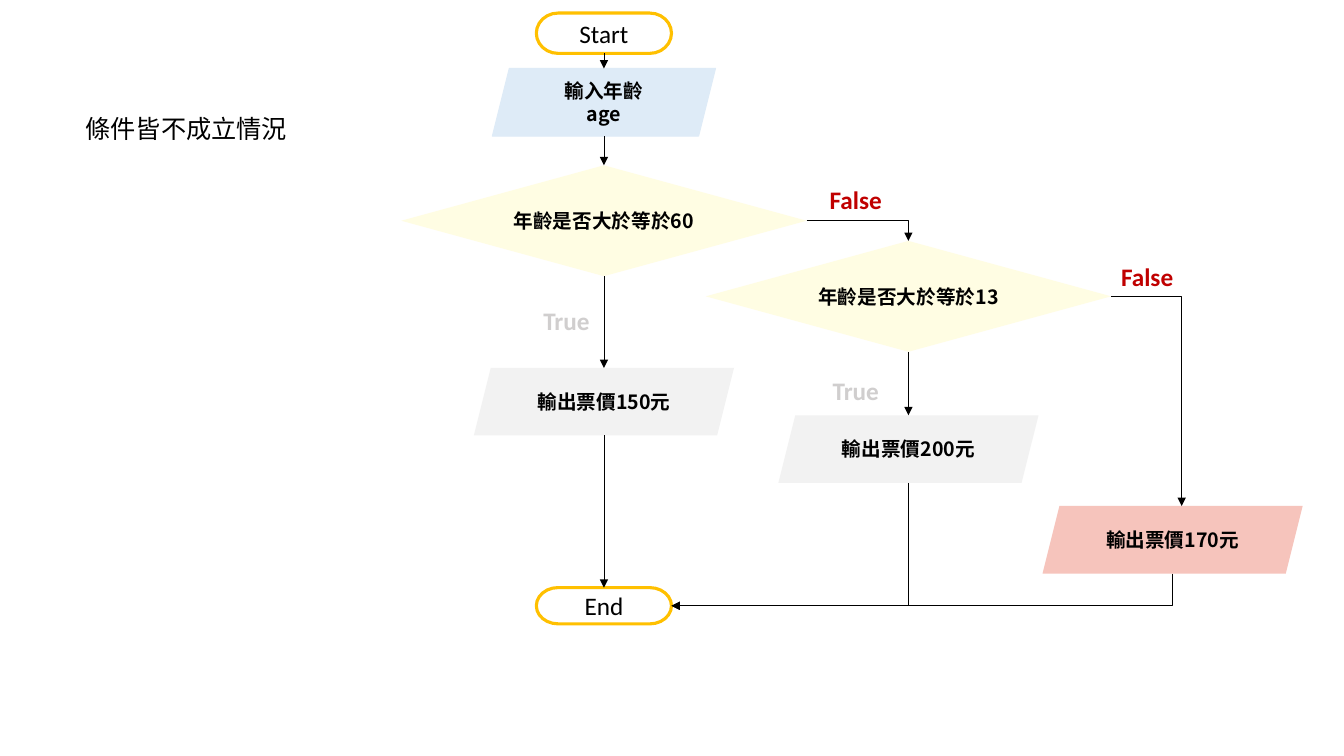
from dataclasses import dataclass

from lxml.etree import SubElement
from pptx import Presentation
from pptx.dml.color import RGBColor
from pptx.enum.shapes import MSO_CONNECTOR as Link, MSO_SHAPE as Shape
from pptx.enum.text import MSO_ANCHOR as Anchor, MSO_AUTO_SIZE as AutoSize, PP_ALIGN as Align
from pptx.oxml.ns import qn
from pptx.util import Inches, Pt


@dataclass(frozen=True)
class Theme:
    ink: str = "000000"
    paper: str = "FFFFFF"
    terminal: str = "FFC000"
    entry: str = "DEEBF7"
    decision: str = "FFFDE3"
    output: str = "F2F2F2"
    chosen: str = "F6C4BC"
    taken: str = "C00000"
    skipped: str = "D0CECE"
    step_font: str = "Noto Sans CJK SC"
    label_font: str = "Calibri"
    step_size: float = 14
    label_size: float = 18
    terminal_line: float = 2.25
    entry_line: float = 1
    arrow_line: float = 0.5


THEME = Theme()

# kind: preset, width, fill, outline, outline width, font, size, bold
KINDS = {
    "terminal": (Shape.FLOWCHART_TERMINATOR, 1.34, THEME.paper, THEME.terminal,
                 THEME.terminal_line, THEME.label_font, THEME.label_size, False),
    "entry": (Shape.PARALLELOGRAM, 2.21, THEME.entry, THEME.entry,
              THEME.entry_line, THEME.step_font, THEME.step_size, True),
    "decision": (Shape.DIAMOND, 4.02, THEME.decision, None, 0,
                 THEME.step_font, THEME.step_size, True),
    "output": (Shape.PARALLELOGRAM, 2.58, THEME.output, None, 0,
               THEME.step_font, THEME.step_size, True),
    "chosen": (Shape.PARALLELOGRAM, 2.58, THEME.chosen, None, 0,
               THEME.step_font, THEME.step_size, True),
}

SENIOR_X, ADULT_X, CHILD_X = 5.99, 9.01, 11.63

# key: kind, centre x, top, height, lines of text
STEPS = {
    "start": ("terminal", SENIOR_X, 0.13, 0.4, ["Start"]),
    "input": ("entry", SENIOR_X, 0.68, 0.67, ["輸入年齡", "age"]),
    "over 60": ("decision", SENIOR_X, 1.64, 1.1, ["年齡是否大於等於60"]),
    "over 13": ("decision", ADULT_X, 2.39, 1.1, ["年齡是否大於等於13"]),
    "senior fare": ("output", SENIOR_X, 3.65, 0.67, ["輸出票價150元"]),
    "adult fare": ("output", ADULT_X, 4.12, 0.67, ["輸出票價200元"]),
    "child fare": ("chosen", CHILD_X, 5.02, 0.67, ["輸出票價170元"]),
    "end": ("terminal", SENIOR_X, 5.83, 0.36, ["End"]),
}

# text, left, top, width, colour, bold
LABELS = [
    ("條件皆不成立情況", 0.75, 1.08, 2.22, THEME.ink, False),
    ("True", 5.29, 2.98, 0.66, THEME.skipped, True),
    ("True", 8.16, 3.67, 0.66, THEME.skipped, True),
    ("False", 8.13, 1.78, 0.72, THEME.taken, True),
    ("False", 11.02, 2.54, 0.72, THEME.taken, True),
]
LABEL_HEIGHT = 0.4

DOWN_FLOWS = [
    ("start", "input"), ("input", "over 60"), ("over 60", "senior fare"),
    ("senior fare", "end"), ("over 13", "adult fare"),
]
# The slanted fare box has the middle of its top edge right of its centre
FALSE_FLOWS = [("over 60", "over 13", 0), ("over 13", "child fare", 0.09)]
CLOSING_FLOWS = ["adult fare", "child fare"]


def rgb(colour):
    return RGBColor.from_string(colour)


def add_text(paragraph, text, font_name, size, colour, bold):
    run = paragraph.add_run()
    run.text = text
    font = run.font
    font.size, font.bold, font.name = Pt(size), bold, font_name
    font.color.rgb = rgb(colour)
    SubElement(run._r.get_or_add_rPr(), qn("a:ea"), typeface=font_name)


def add_step(slide, kind, centre, top, height, lines):
    preset, width, fill, outline, weight, font_name, size, bold = KINDS[kind]
    step = slide.shapes.add_shape(preset, Inches(centre - width / 2), Inches(top),
                                  Inches(width), Inches(height))
    step.shadow.inherit = False
    step.fill.solid()
    step.fill.fore_color.rgb = rgb(fill)
    if outline:
        step.line.color.rgb = rgb(outline)
        step.line.width = Pt(weight)
    else:
        step.line.fill.background()
    frame = step.text_frame
    frame.word_wrap = True
    frame.vertical_anchor = Anchor.MIDDLE
    for index, line in enumerate(lines):
        paragraph = frame.add_paragraph() if index else frame.paragraphs[0]
        paragraph.alignment = Align.CENTER
        add_text(paragraph, line, font_name, size, THEME.ink, bold)
    return step


def add_label(slide, text, left, top, width, colour, bold):
    label = slide.shapes.add_textbox(Inches(left), Inches(top), Inches(width),
                                     Inches(LABEL_HEIGHT))
    frame = label.text_frame
    frame.word_wrap = False
    frame.auto_size = AutoSize.SHAPE_TO_FIT_TEXT
    add_text(frame.paragraphs[0], text, THEME.label_font, THEME.label_size, colour, bold)


def add_arrow(slide, style, x1, y1, x2, y2):
    arrow = slide.shapes.add_connector(style, Inches(x1), Inches(y1), Inches(x2), Inches(y2))
    arrow.line.color.rgb = rgb(THEME.ink)
    arrow.line.width = Pt(THEME.arrow_line)
    SubElement(arrow.line._get_or_add_ln(), qn("a:tailEnd"), type="triangle")
    properties = arrow._element.spPr
    SubElement(properties, qn("a:effectLst"))
    if style == Link.ELBOW:
        properties.find(qn("a:prstGeom")).set("prst", "bentConnector2")
    return arrow


def add_down_then_left(slide, x1, y1, x2, y2):
    """Add a one-corner arrow as a right-then-down one turned a quarter about its middle."""
    middle_x, middle_y = (x1 + x2) / 2, (y1 + y2) / 2
    half_width, half_height = (y2 - y1) / 2, (x1 - x2) / 2
    arrow = add_arrow(slide, Link.ELBOW, middle_x - half_width, middle_y - half_height,
                      middle_x + half_width, middle_y + half_height)
    arrow._element.spPr.find(qn("a:xfrm")).set("rot", str(90 * 60000))


def top_of(key):
    _, centre, top, _, _ = STEPS[key]
    return centre, top


def bottom_of(key):
    _, centre, top, height, _ = STEPS[key]
    return centre, top + height


def right_of(key):
    kind, centre, top, height, _ = STEPS[key]
    return centre + KINDS[kind][1] / 2, top + height / 2


def main():
    deck = Presentation()
    deck.slide_width, deck.slide_height = Inches(13.33), Inches(7.5)
    slide = deck.slides.add_slide(deck.slide_layouts[6])

    steps = {key: add_step(slide, *step) for key, step in STEPS.items()}
    for label in LABELS:
        add_label(slide, *label)

    for source, target in DOWN_FLOWS:
        arrow = add_arrow(slide, Link.STRAIGHT, *bottom_of(source), *top_of(target))
        # Slanted boxes number their joints differently, so only the others are joined
        if STEPS[source][0] in ("terminal", "decision"):
            arrow.begin_connect(steps[source], 2)
        if STEPS[target][0] in ("terminal", "decision"):
            arrow.end_connect(steps[target], 0)
    for source, target, shift in FALSE_FLOWS:
        x, y = top_of(target)
        add_arrow(slide, Link.ELBOW, *right_of(source), x + shift, y)
    for source in CLOSING_FLOWS:
        add_down_then_left(slide, *bottom_of(source), *right_of("end"))

    deck.save("out.pptx")


if __name__ == "__main__":
    main()
